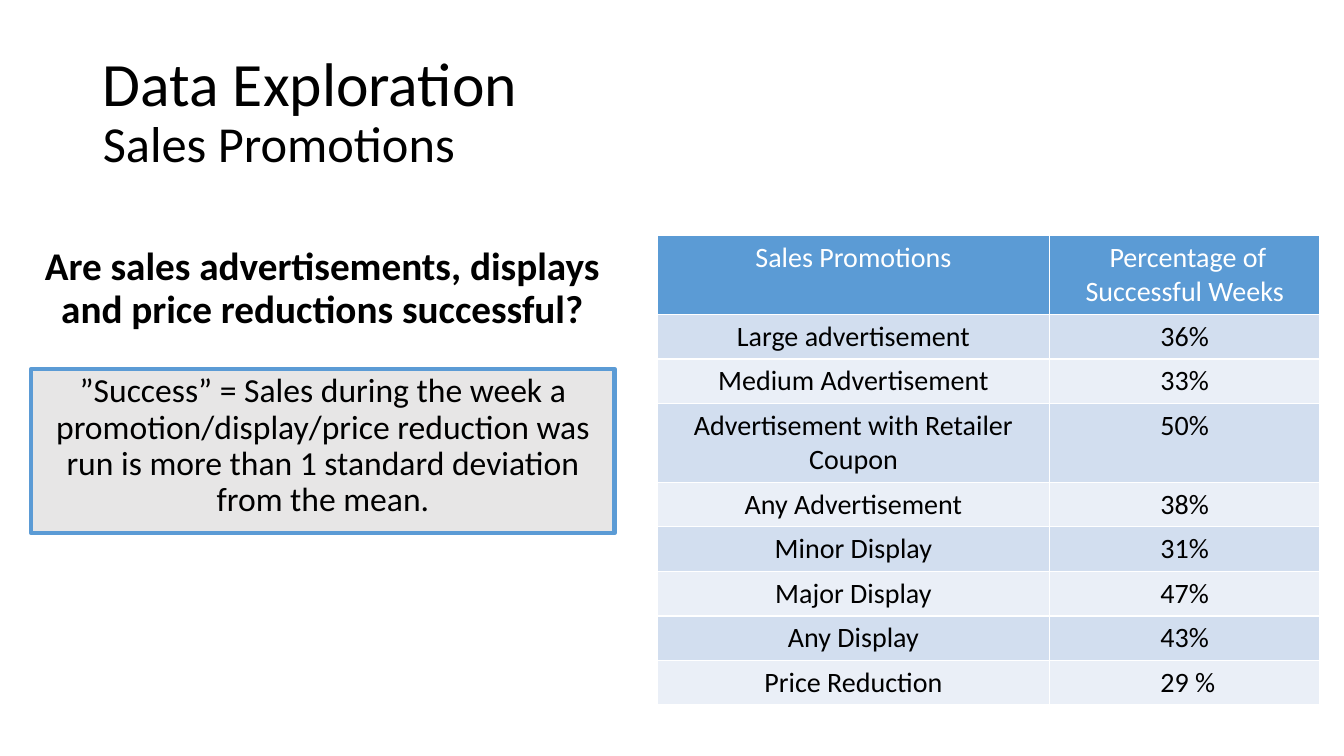
from dataclasses import dataclass
from typing import Optional

from pptx import Presentation
from pptx.dml.color import RGBColor
from pptx.enum.shapes import MSO_SHAPE as Shape
from pptx.enum.text import MSO_ANCHOR as Anchor, MSO_AUTO_SIZE as Fit, PP_ALIGN as Align
from pptx.util import Inches, Pt

BLACK = RGBColor(0x00, 0x00, 0x00)
WHITE = RGBColor(0xFF, 0xFF, 0xFF)
BLUE = RGBColor(0x5B, 0x9B, 0xD5)
GREY = RGBColor(0xE7, 0xE6, 0xE6)
BANDS = (RGBColor(0xEA, 0xEF, 0xF7), RGBColor(0xD2, 0xDE, 0xEF))
FONT = "Calibri"
WIDTH, HEIGHT = Inches(13.33), Inches(7.5)


@dataclass(frozen=True)
class Area:
    """A place on the slide, in percent of its width and height."""
    left: float
    top: float
    width: float
    height: float

    def frame(self) -> tuple[int, int, int, int]:
        """Return left, top, width and height as slide lengths."""
        return (across(self.left), down(self.top),
                across(self.width), down(self.height))


@dataclass(frozen=True)
class Panel:
    """A centred block of text, with a framed fill if one is given."""
    area: Area
    text: str
    size: int
    bold: bool = False
    fill: Optional[RGBColor] = None


@dataclass(frozen=True)
class Row:
    """A table row: a promotion and its share of successful weeks."""
    name: str
    share: str
    lines: int = 1


TITLE = Area(6.9, 5.33, 86.25, 19.33)
PANELS = (
    Panel(Area(0.52, 32, 46.9, 10.8),
          "Are sales advertisements, displays and price reductions successful?",
          28, bold=True),
    Panel(Area(2.33, 48.8, 43.4, 21.73),
          "”Success” = Sales during the week a promotion/display/price reduction "
          "was run is more than 1 standard deviation from the mean.",
          24, fill=GREY),
)
ROWS = (
    Row("Sales Promotions", " Percentage of Successful Weeks", lines=2),
    Row("Large advertisement", "36%"),
    Row("Medium Advertisement", "33%"),
    Row("Advertisement with Retailer Coupon", "50%", lines=2),
    Row("Any Advertisement", "38%"),
    Row("Minor Display", "31%"),
    Row("Major Display", "47%"),
    Row("Any Display", "43%"),
    Row("Price Reduction", " 29 %"),
)
GRID = Area(48.9, 31.2, 49.3, 61.9)
COLS = (29.2, 20.1)
LINE, PAD = 4.5, 1.4  # height of a text line, and cell padding


def across(share: float) -> int:
    """Turn a percentage of the slide's width into a length."""
    return round(WIDTH * share / 100)


def down(share: float) -> int:
    """Turn a percentage of the slide's height into a length."""
    return round(HEIGHT * share / 100)


def style(para, size: int, color: RGBColor = BLACK, bold: bool = False) -> None:
    """Centre a paragraph and set its font."""
    para.alignment = Align.CENTER
    font = para.font
    font.name, font.size, font.bold = FONT, Pt(size), bold
    font.color.rgb = color


def add_title(slide) -> None:
    """Fill the title with a large line and a smaller one."""
    title = slide.shapes.title
    title.left, title.top, title.width, title.height = TITLE.frame()
    frame = title.text_frame
    frame.auto_size, frame.vertical_anchor = Fit.NONE, Anchor.MIDDLE
    para = frame.paragraphs[0]
    style(para, 44)
    para.alignment, para.line_spacing = Align.LEFT, 0.9
    para.add_run().text = "Data Exploration"
    para.add_line_break()
    sub = para.add_run()
    sub.text, sub.font.size = "Sales Promotions", Pt(36)


def add_panel(slide, panel: Panel) -> None:
    """Draw one block of text."""
    if panel.fill is None:
        box = slide.shapes.add_textbox(*panel.area.frame())
    else:
        box = slide.shapes.add_shape(Shape.RECTANGLE, *panel.area.frame())
        box.shadow.inherit = False
        box.fill.solid()
        box.fill.fore_color.rgb = panel.fill
        box.line.color.rgb, box.line.width = BLUE, Pt(3)
    frame = box.text_frame
    frame.word_wrap, frame.vertical_anchor = True, Anchor.TOP
    para = frame.paragraphs[0]
    para.text = panel.text
    para.line_spacing, para.space_before = 0.9, Pt(10)
    style(para, panel.size, bold=panel.bold)


def add_grid(slide) -> None:
    """Draw the table of promotions under a blue header."""
    table = slide.shapes.add_table(len(ROWS), len(COLS), *GRID.frame()).table
    for col, share in zip(table.columns, COLS):
        col.width = across(share)
    for at, row in enumerate(ROWS):
        table.rows[at].height = down(row.lines * LINE + PAD)
        fill, ink = (BANDS[at % 2], BLACK) if at else (BLUE, WHITE)
        for col, text in enumerate((row.name, row.share)):
            cell = table.cell(at, col)
            cell.text = text
            cell.fill.solid()
            cell.fill.fore_color.rgb = fill
            style(cell.text_frame.paragraphs[0], 20, ink)


def main() -> None:
    """Build the slide and save it."""
    deck = Presentation()
    deck.slide_width, deck.slide_height = WIDTH, HEIGHT
    slide = deck.slides.add_slide(deck.slide_layouts.get_by_name("Title Only"))
    add_title(slide)
    for panel in PANELS:
        add_panel(slide, panel)
    add_grid(slide)
    deck.save("out.pptx")


main()
